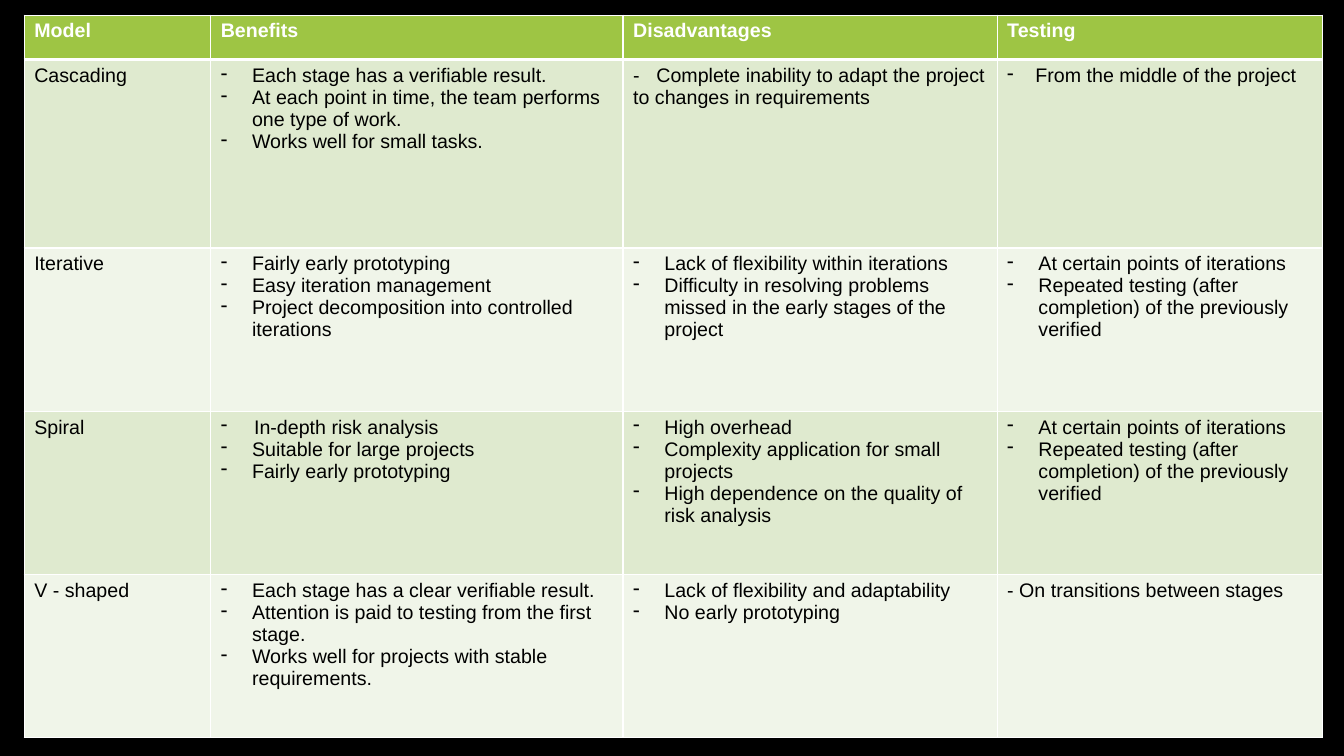
from pptx import Presentation
from pptx.dml.color import RGBColor
from pptx.oxml.ns import qn
from pptx.util import Inches, Pt
from lxml.etree import SubElement

BLACK = RGBColor(0x00, 0x00, 0x00)
WHITE = RGBColor(0xFF, 0xFF, 0xFF)
HEADER_GREEN = RGBColor(0x9E, 0xC5, 0x44)
BANDS = (RGBColor(0xDF, 0xEA, 0xCF), RGBColor(0xF0, 0xF5, 0xE9))

HANG = 0.31  # usual distance from dash to text, inches
COL_WIDTHS = (1.85, 4.09, 3.71, 3.23)
ROW_HEIGHTS = (0.44, 1.87, 1.62, 1.62, 1.62)
HEADERS = ("Model", "Benefits", "Disadvantages", "Testing")

REPEATED_TESTING = [
    "At certain points of iterations",
    "Repeated testing (after completion) of the previously verified",
]

# Each cell is a list of paragraphs; a pair holds text and its own format
MODELS = (
    (
        [("Cascading", {"hang": 0})],
        ["Each stage has a verifiable result.",
         "At each point in time, the team performs one type of work.",
         "Works well for small tasks."],
        [("-\tComplete inability to adapt the project to changes in requirements",
          {"hang": 0, "tab": 0.23})],
        [("From the middle of the project", {"hang": 0.28})],
    ),
    (
        [("Iterative", {"hang": 0})],
        ["Fairly early prototyping",
         "Easy iteration management",
         "Project decomposition into controlled iterations"],
        ["Lack of flexibility within iterations",
         "Difficulty in resolving problems missed in the early stages of the project"],
        REPEATED_TESTING,
    ),
    (
        [("Spiral", {"hang": 0})],
        [("In-depth risk analysis", {"hang": 0.33}),
         "Suitable for large projects",
         "Fairly early prototyping"],
        ["High overhead",
         "Complexity application for small projects",
         "High dependence on the quality of risk analysis"],
        REPEATED_TESTING,
    ),
    (
        [("V - shaped", {"hang": 0})],
        ["Each stage has a clear verifiable result.",
         "Attention is paid to testing from the first stage.",
         "Works well for projects with stable requirements."],
        ["Lack of flexibility and adaptability",
         "No early prototyping"],
        [("- On transitions between stages", {"hang": 0})],
    ),
)


def write_paragraph(p, text, hang=HANG, tab=None, bold=False, color=BLACK):
    """Write one paragraph; a hang above zero gives it a dash bullet."""
    r = p.add_run()
    r.text = text
    r.font.name = "Arial"
    r.font.size = Pt(14)
    r.font.bold = bold
    r.font.color.rgb = color
    pPr = p._p.get_or_add_pPr()
    if hang:
        pPr.set("marL", str(Inches(hang)))
        pPr.set("indent", str(-Inches(hang)))
        SubElement(pPr, qn("a:buFontTx"))
        SubElement(pPr, qn("a:buChar"), char="-")
    if tab:
        tabs = SubElement(pPr, qn("a:tabLst"))
        SubElement(tabs, qn("a:tab"), pos=str(Inches(tab)), algn="l")


def format_cell(cell, fill, top=1, bottom=1):
    """Give a cell white borders (widths in points) and a solid fill."""
    tcPr = cell._tc.get_or_add_tcPr()
    for side, width in (("L", 1), ("R", 1), ("T", top), ("B", bottom)):
        ln = SubElement(tcPr, qn(f"a:ln{side}"), w=str(Pt(width)))
        SubElement(SubElement(ln, qn("a:solidFill")), qn("a:srgbClr"), val=str(WHITE))
    cell.fill.solid()
    cell.fill.fore_color.rgb = fill


def add_comparison_table(s, left, top):
    table = s.shapes.add_table(
        len(ROW_HEIGHTS), len(COL_WIDTHS), Inches(left), Inches(top),
        Inches(sum(COL_WIDTHS)), Inches(sum(ROW_HEIGHTS))).table
    for column, width in zip(table.columns, COL_WIDTHS):
        column.width = Inches(width)
    for row, height in zip(table.rows, ROW_HEIGHTS):
        row.height = Inches(height)

    # Header row
    for col, header in enumerate(HEADERS):
        cell = table.cell(0, col)
        format_cell(cell, HEADER_GREEN, bottom=3)
        write_paragraph(cell.text_frame.paragraphs[0], header,
                        hang=0, bold=True, color=WHITE)

    # One banded row per model
    for row, model in enumerate(MODELS, start=1):
        for col, items in enumerate(model):
            cell = table.cell(row, col)
            format_cell(cell, BANDS[(row - 1) % 2], top=3 if row == 1 else 1)
            tf = cell.text_frame
            for i, item in enumerate(items):
                p = tf.add_paragraph() if i else tf.paragraphs[0]
                text, options = (item, {}) if isinstance(item, str) else item
                write_paragraph(p, text, **options)


def main():
    prs = Presentation()
    prs.slide_width = Inches(13.33)
    prs.slide_height = Inches(7.5)
    s = prs.slides.add_slide(prs.slide_layouts[6])
    s.background.fill.solid()
    s.background.fill.fore_color.rgb = BLACK
    add_comparison_table(s, 0.24, 0.15)
    prs.save("out.pptx")


if __name__ == "__main__":
    main()
